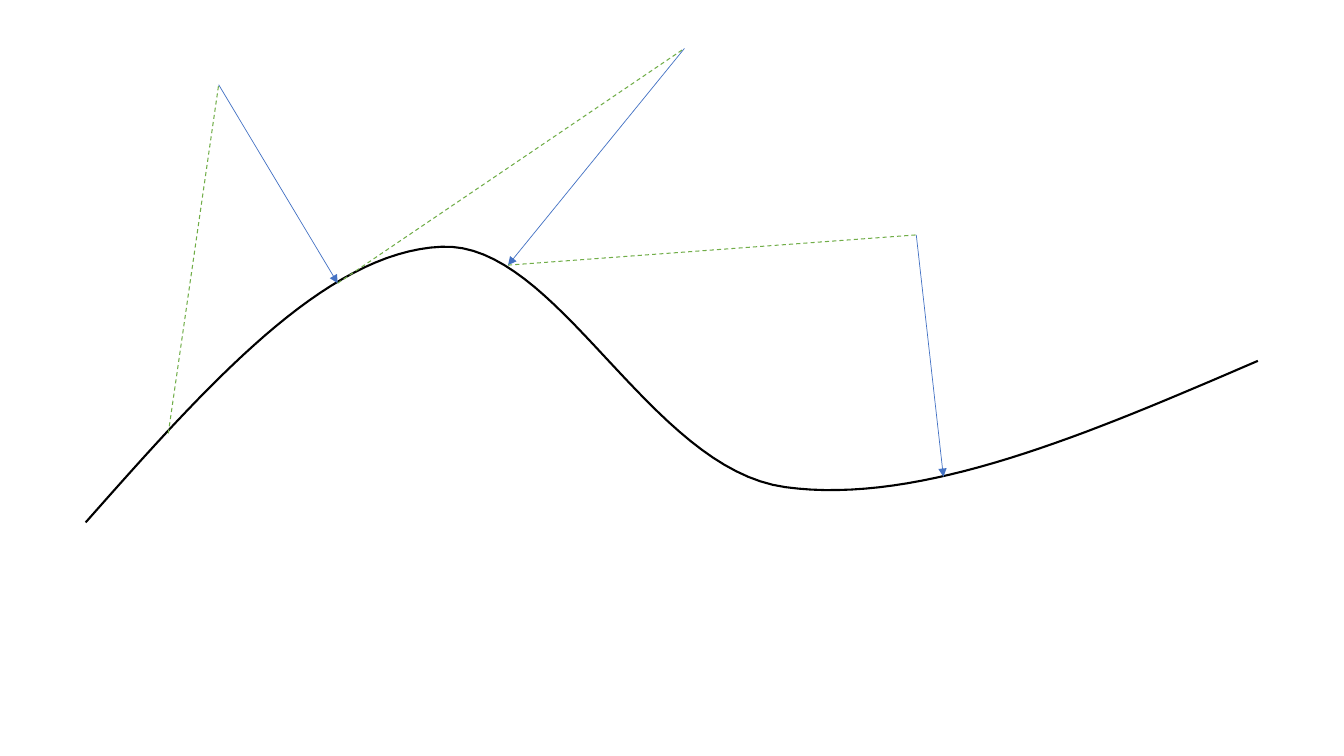
from itertools import pairwise

from lxml import etree
from pptx import Presentation
from pptx.dml.color import RGBColor
from pptx.enum.dml import MSO_LINE
from pptx.enum.shapes import MSO_CONNECTOR
from pptx.oxml.ns import qn
from pptx.util import Pt

STRAIGHT = MSO_CONNECTOR.STRAIGHT
DASH = MSO_LINE.DASH
BLACK = RGBColor(0x00, 0x00, 0x00)
GREEN = RGBColor(0x70, 0xAD, 0x47)
BLUE = RGBColor(0x44, 0x72, 0xC4)
BLANK_LAYOUT = 6
STEPS = 32

CURVE = [
    (61.2, 373.2), (146.9, 276.5), (231.8, 180), (315.2, 176.3),
    (398.2, 172.1), (463.7, 334.8), (561, 348),
    (658.1, 361.4), (778.3, 309.6), (898.5, 257.8),
]
ZIGZAG = [
    (120.2, 309.6), (156.2, 60.5), (241.2, 202.3), (488.9, 34.6),
    (362.9, 189.4), (654.5, 167.8), (673.9, 340.6),
]


def bezier_point(controls, t):
    weights = ((1 - t) ** 3, 3 * t * (1 - t) ** 2, 3 * t ** 2 * (1 - t), t ** 3)
    return tuple(
        Pt(sum(weight * value for weight, value in zip(weights, axis)))
        for axis in zip(*controls)
    )


def add_curve(slide, points, color, width):
    samples = [
        bezier_point(points[first:first + 4], step / STEPS)
        for first in range(0, len(points) - 1, 3)
        for step in range(1, STEPS + 1)
    ]
    start_x, start_y = points[0]
    builder = slide.shapes.build_freeform(Pt(start_x), Pt(start_y))
    builder.add_line_segments(samples, close=False)
    curve = builder.convert_to_shape()
    curve.shadow.inherit = False
    curve.fill.background()
    curve.line.color.rgb = color
    curve.line.width = Pt(width)


def add_segment(slide, start, end, color, width, dash=None, arrow=False):
    ends = [Pt(value) for value in (*start, *end)]
    segment = slide.shapes.add_connector(STRAIGHT, *ends)
    segment.line.color.rgb = color
    segment.line.width = Pt(width)
    if dash:
        segment.line.dash_style = dash
    properties = segment._element.spPr
    if arrow:
        outline = properties.find(qn("a:ln"))
        etree.SubElement(outline, qn("a:tailEnd"), type="triangle")
    etree.SubElement(properties, qn("a:effectLst"))


def main():
    presentation = Presentation()
    presentation.slide_width = Pt(960)
    presentation.slide_height = Pt(540)
    slide = presentation.slides.add_slide(presentation.slide_layouts[BLANK_LAYOUT])

    add_curve(slide, CURVE, BLACK, 1.5)
    for index, (start, end) in enumerate(pairwise(ZIGZAG)):
        if index % 2 == 0:
            add_segment(slide, start, end, GREEN, 0.75, dash=DASH)
        else:
            add_segment(slide, start, end, BLUE, 0.5, arrow=True)

    presentation.save("out.pptx")


main()
